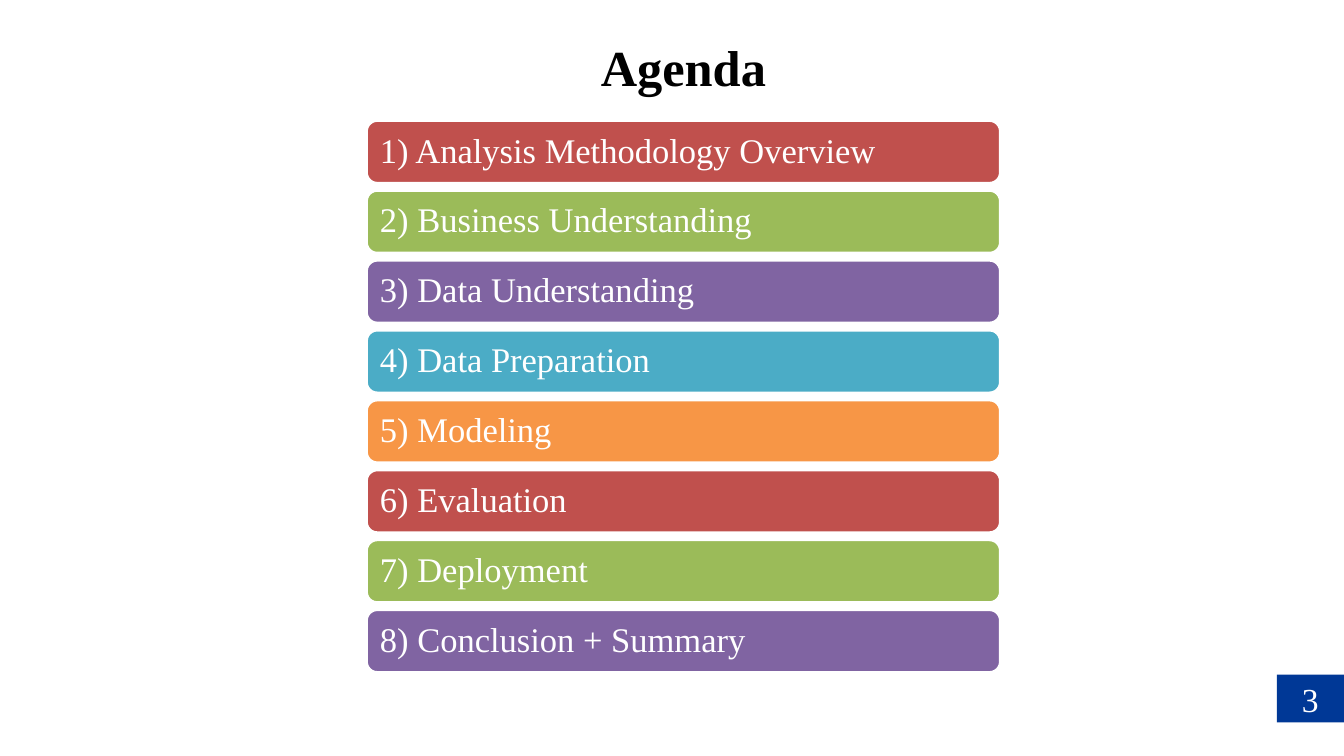
import pptx
import pptx.dml.color
import pptx.enum.shapes
import pptx.enum.text
import pptx.util

Inches = pptx.util.Inches
Pt = pptx.util.Pt
SHAPES = pptx.enum.shapes.MSO_SHAPE
ALIGN = pptx.enum.text.PP_ALIGN
ANCHOR = pptx.enum.text.MSO_ANCHOR

FONT = "Times New Roman"
WHITE = "FFFFFF"
BAR_COLOURS = ["C0504D", "9BBB59", "8064A2", "4BACC6", "F79646"]
TOPICS = [
    "Analysis Methodology Overview",
    "Business Understanding",
    "Data Understanding",
    "Data Preparation",
    "Modeling",
    "Evaluation",
    "Deployment",
    "Conclusion + Summary",
]


def colour(hex_string):
    return pptx.dml.color.RGBColor.from_string(hex_string)


def write_text(shape, text, size, text_colour=WHITE, bold=False, align=ALIGN.LEFT,
               anchor=ANCHOR.MIDDLE, inset=0.0, line_spacing=None):
    frame = shape.text_frame
    frame.word_wrap = True
    frame.vertical_anchor = anchor
    frame.margin_left = frame.margin_right = Inches(inset)
    frame.margin_top = frame.margin_bottom = Inches(inset)
    paragraph = frame.paragraphs[0]
    paragraph.alignment = align
    paragraph.line_spacing = line_spacing
    run = paragraph.add_run()
    run.text = text
    run.font.name = FONT
    run.font.size = Pt(size)
    run.font.bold = bold
    run.font.color.rgb = colour(text_colour)


def add_box(slide, kind, left, top, width, height, fill, outline=None):
    shape = slide.shapes.add_shape(
        kind, Inches(left), Inches(top), Inches(width), Inches(height))
    shape.shadow.inherit = False
    shape.fill.solid()
    shape.fill.fore_color.rgb = colour(fill)
    if outline:
        shape.line.color.rgb = colour(outline)
        shape.line.width = Pt(2)
    else:
        shape.line.fill.background()
    return shape


def add_title(slide, left, top, width, height):
    title = slide.shapes.add_textbox(
        Inches(left), Inches(top), Inches(width), Inches(height))
    write_text(title, "Agenda", 54, text_colour="000000", bold=True,
               align=ALIGN.CENTER, anchor=ANCHOR.TOP, line_spacing=Pt(46.2))


def add_agenda(slide, left, top, width, bar_height, pitch):
    for index, topic in enumerate(TOPICS):
        fill = BAR_COLOURS[index % len(BAR_COLOURS)]
        bar = add_box(slide, SHAPES.ROUNDED_RECTANGLE, left, top + index * pitch,
                      width, bar_height, fill, outline=WHITE)
        write_text(bar, f"{index + 1}) {topic}", 37, inset=0.15, line_spacing=0.9)


def add_page_number(slide, left, top, width, height):
    box = add_box(slide, SHAPES.RECTANGLE, left, top, width, height, "003896")
    write_text(box, "3", 36, align=ALIGN.CENTER, inset=0.05)


def main():
    presentation = pptx.Presentation()
    presentation.slide_width = Inches(20)
    presentation.slide_height = Inches(11.25)
    slide = presentation.slides.add_slide(presentation.slide_layouts[6])

    # Heading
    add_title(slide, 1.17, 0.79, 18, 0.67)
    # Numbered topic bars
    add_agenda(slide, 5.46, 1.8, 9.42, 0.92, 1.04)
    # Page number in the corner
    add_page_number(slide, 19, 10.04, 1, 0.71)

    presentation.save("out.pptx")


if __name__ == "__main__":
    main()
